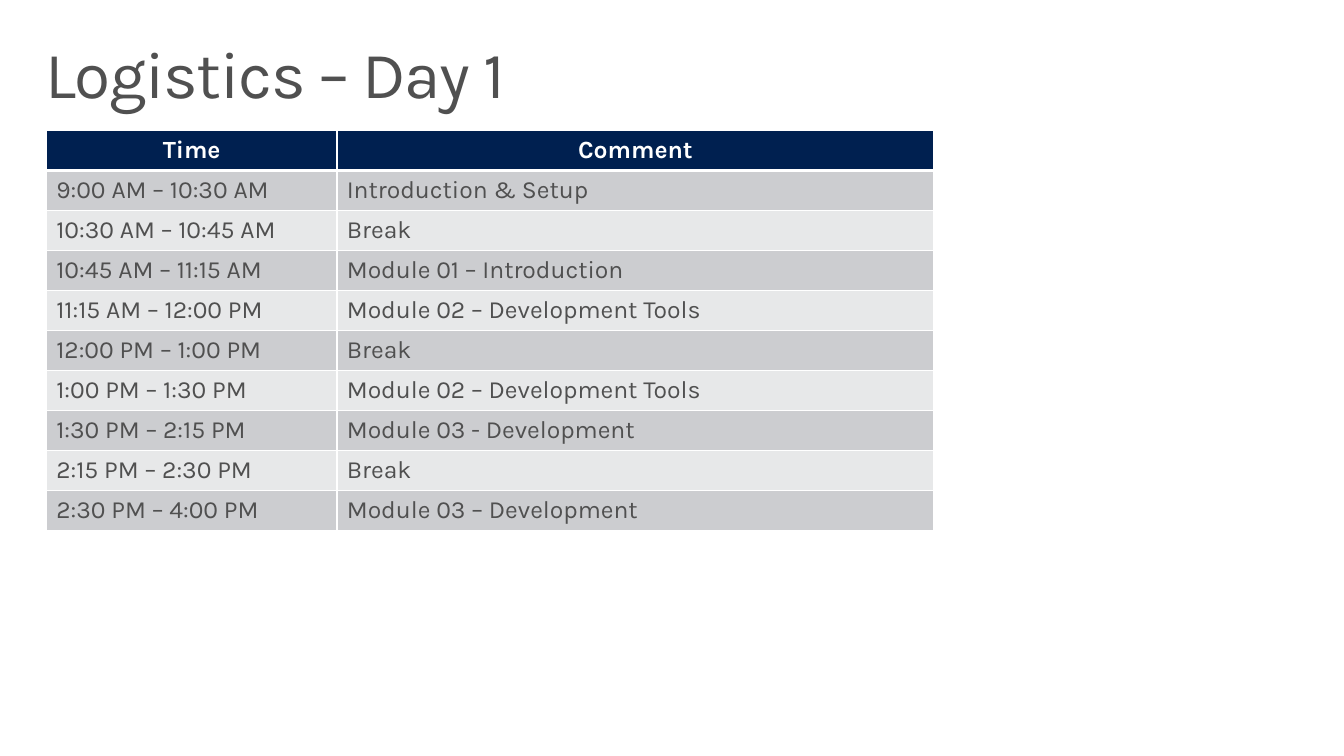
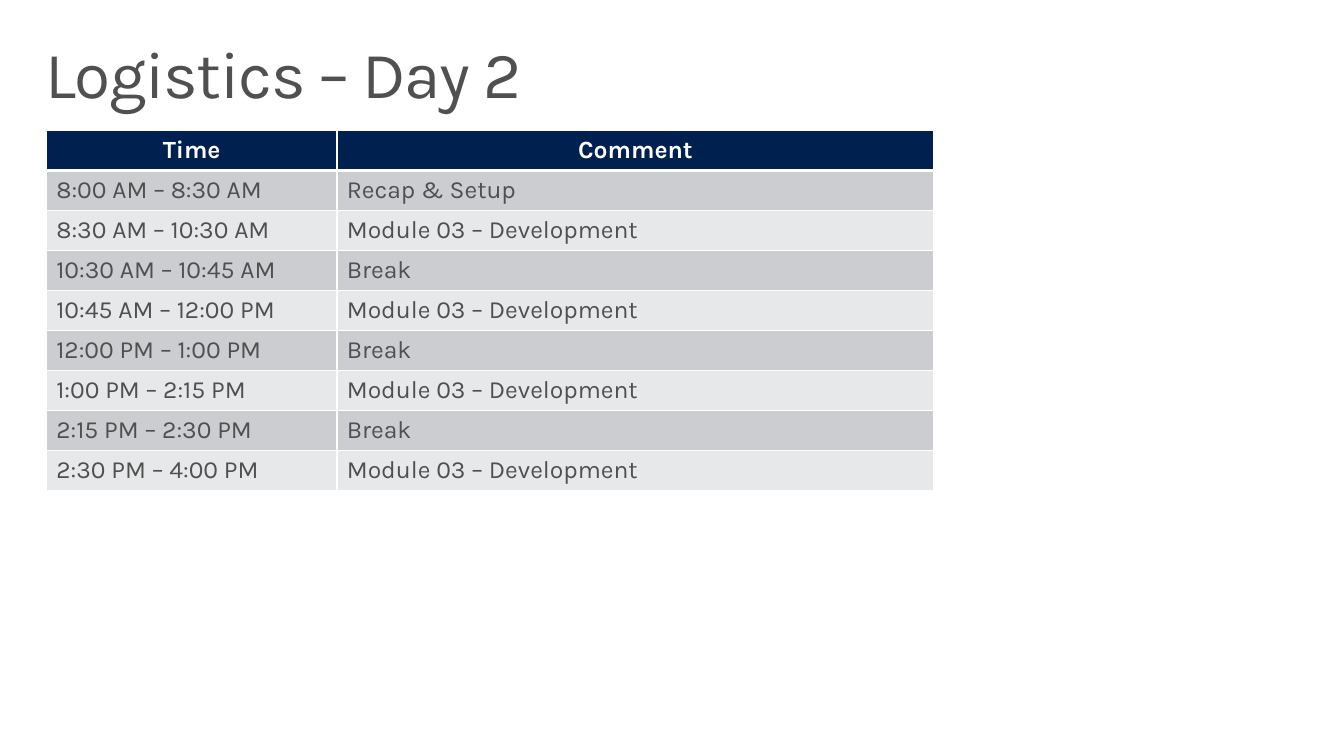
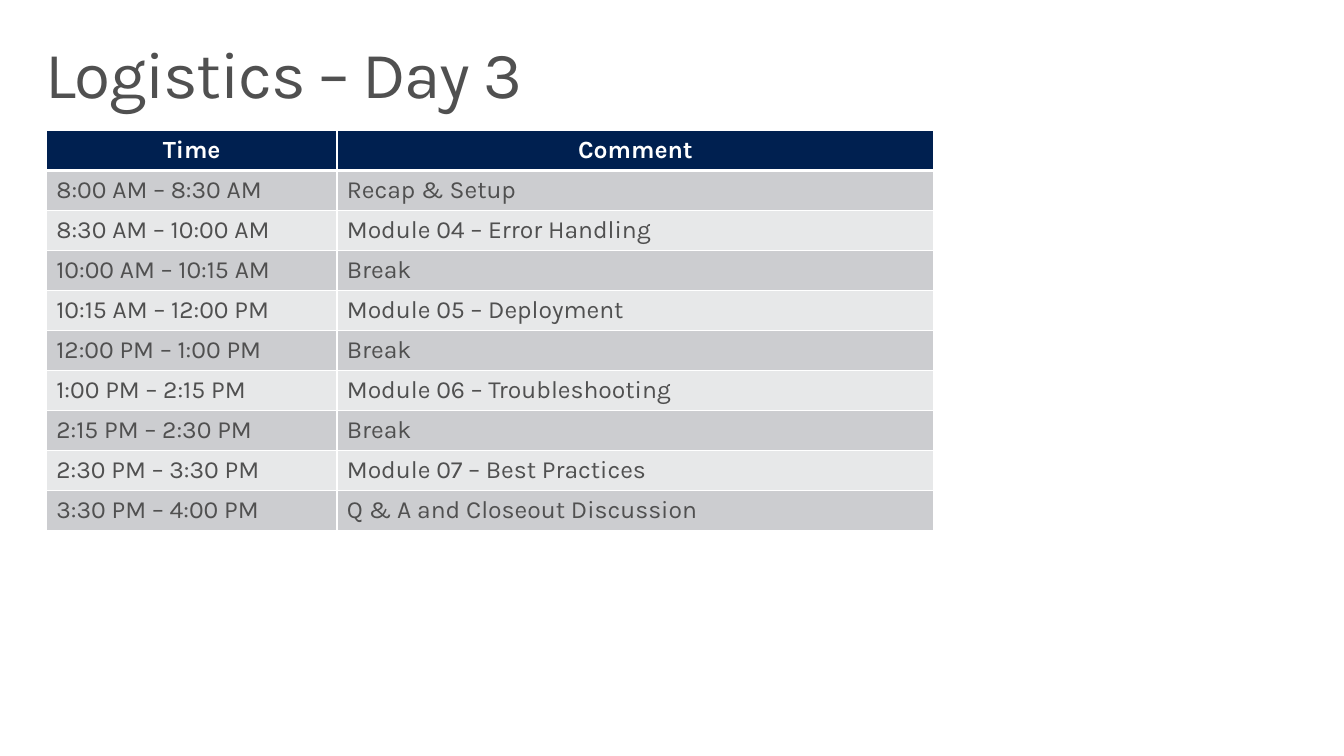
from dataclasses import dataclass

from lxml.etree import SubElement
from pptx import Presentation
from pptx.dml.color import RGBColor
from pptx.enum.text import MSO_ANCHOR, PP_ALIGN
from pptx.oxml.ns import qn
from pptx.slide import Slide
from pptx.table import _Cell
from pptx.util import Emu, Pt

WHITE = RGBColor(0xFF, 0xFF, 0xFF)
NAVY = RGBColor(0x00, 0x20, 0x50)
DARK_GREY = RGBColor(0x50, 0x50, 0x50)
MID_GREY = RGBColor(0xCC, 0xCD, 0xD0)
LIGHT_GREY = RGBColor(0xE7, 0xE8, 0xE9)

FONT = "Karla"
TITLE_SIZE = 48
TABLE_SIZE = 18
THIN_RULE = 1
HEADER_RULE = 3

PAGE_WIDTH, PAGE_HEIGHT = 2720, 1530
TITLE_LEFT, TITLE_TOP, TITLE_WIDTH, TITLE_HEIGHT = 60, 64, 2600, 200
TITLE_INSET_X, TITLE_INSET_Y = 32, 20
TABLE_LEFT, TABLE_TOP = 94, 264
COLUMN_WIDTHS = (588, 1208)
ROW_HEIGHT = 81
HEADINGS = ("Time", "Comment")


@dataclass(frozen=True)
class Session:
    time: str
    comment: str


@dataclass(frozen=True)
class Day:
    title: str
    sessions: tuple[Session, ...]


DAYS = (
    Day("Logistics – Day 1", (
        Session("9:00 AM – 10:30 AM", "Introduction & Setup"),
        Session("10:30 AM – 10:45 AM", "Break"),
        Session("10:45 AM – 11:15 AM", "Module 01 – Introduction"),
        Session("11:15 AM – 12:00 PM", "Module 02 – Development Tools"),
        Session("12:00 PM – 1:00 PM", "Break"),
        Session("1:00 PM – 1:30 PM", "Module 02 – Development Tools"),
        Session("1:30 PM – 2:15 PM", "Module 03 - Development"),
        Session("2:15 PM – 2:30 PM", "Break"),
        Session("2:30 PM – 4:00 PM", "Module 03 – Development"),
    )),
    Day("Logistics – Day 2", (
        Session("8:00 AM – 8:30 AM", "Recap & Setup"),
        Session("8:30 AM – 10:30 AM", "Module 03 – Development"),
        Session("10:30 AM – 10:45 AM", "Break"),
        Session("10:45 AM – 12:00 PM", "Module 03 – Development"),
        Session("12:00 PM – 1:00 PM", "Break"),
        Session("1:00 PM – 2:15 PM", "Module 03 – Development"),
        Session("2:15 PM – 2:30 PM", "Break"),
        Session("2:30 PM – 4:00 PM", "Module 03 – Development"),
    )),
    Day("Logistics – Day 3", (
        Session("8:00 AM – 8:30 AM", "Recap & Setup"),
        Session("8:30 AM – 10:00 AM", "Module 04 – Error Handling"),
        Session("10:00 AM – 10:15 AM", "Break"),
        Session("10:15 AM – 12:00 PM", "Module 05 – Deployment"),
        Session("12:00 PM – 1:00 PM", "Break"),
        Session("1:00 PM – 2:15 PM", "Module 06 – Troubleshooting"),
        Session("2:15 PM – 2:30 PM", "Break"),
        Session("2:30 PM – 3:30 PM", "Module 07 – Best Practices"),
        Session("3:30 PM – 4:00 PM", "Q & A and Closeout Discussion"),
    )),
)


def px(length: int) -> Emu:
    """Turn pixels, 200 to the inch, into EMU."""
    return Emu(length * 4572)


def style_font(font, size: int, color: RGBColor, bold: bool = False) -> None:
    font.name = FONT
    font.size = Pt(size)
    font.bold = bold
    font.color.rgb = color


def add_title(page: Slide, text: str) -> None:
    box = page.shapes.add_textbox(
        px(TITLE_LEFT), px(TITLE_TOP), px(TITLE_WIDTH), px(TITLE_HEIGHT))
    frame = box.text_frame
    frame.word_wrap = True
    frame.vertical_anchor = MSO_ANCHOR.TOP
    frame.margin_left = frame.margin_right = px(TITLE_INSET_X)
    frame.margin_top = frame.margin_bottom = px(TITLE_INSET_Y)
    frame.text = text
    para = frame.paragraphs[0]
    para.line_spacing = 0.9
    span = para.runs[0]
    style_font(span.font, TITLE_SIZE, DARK_GREY)
    span.font._element.set("spc", "-100")


def set_borders(cell: _Cell, top: int, bottom: int) -> None:
    """Draw white rules round a cell; widths are in points."""
    properties = cell._tc.get_or_add_tcPr()
    widths = {"a:lnL": THIN_RULE, "a:lnR": THIN_RULE, "a:lnT": top, "a:lnB": bottom}
    for tag, width in widths.items():
        line = SubElement(properties, qn(tag), w=str(Pt(width)))
        fill = SubElement(line, qn("a:solidFill"))
        SubElement(fill, qn("a:srgbClr"), val=str(WHITE))


def fill_cell(cell: _Cell, text: str, row: int) -> None:
    is_header = row == 0
    set_borders(
        cell,
        top=HEADER_RULE if row == 1 else THIN_RULE,
        bottom=HEADER_RULE if is_header else THIN_RULE)
    cell.fill.solid()
    band = MID_GREY if row % 2 else LIGHT_GREY
    cell.fill.fore_color.rgb = NAVY if is_header else band
    cell.text_frame.text = text
    para = cell.text_frame.paragraphs[0]
    para.alignment = PP_ALIGN.CENTER if is_header else PP_ALIGN.LEFT
    style_font(para.runs[0].font, TABLE_SIZE,
               WHITE if is_header else DARK_GREY, bold=is_header)


def add_schedule(page: Slide, sessions: tuple[Session, ...]) -> None:
    rows = [HEADINGS] + [(session.time, session.comment) for session in sessions]
    table = page.shapes.add_table(
        len(rows), len(HEADINGS), px(TABLE_LEFT), px(TABLE_TOP),
        px(sum(COLUMN_WIDTHS)), px(ROW_HEIGHT * len(rows))).table
    for column, width in zip(table.columns, COLUMN_WIDTHS):
        column.width = px(width)
    for row, texts in enumerate(rows):
        table.rows[row].height = px(ROW_HEIGHT)
        for column, text in enumerate(texts):
            fill_cell(table.cell(row, column), text, row)


def main() -> None:
    deck = Presentation()
    deck.slide_width, deck.slide_height = px(PAGE_WIDTH), px(PAGE_HEIGHT)
    blank = deck.slide_layouts[6]
    for day in DAYS:
        page = deck.slides.add_slide(blank)
        add_title(page, day.title)
        add_schedule(page, day.sessions)
    deck.save("out.pptx")


if __name__ == "__main__":
    main()
